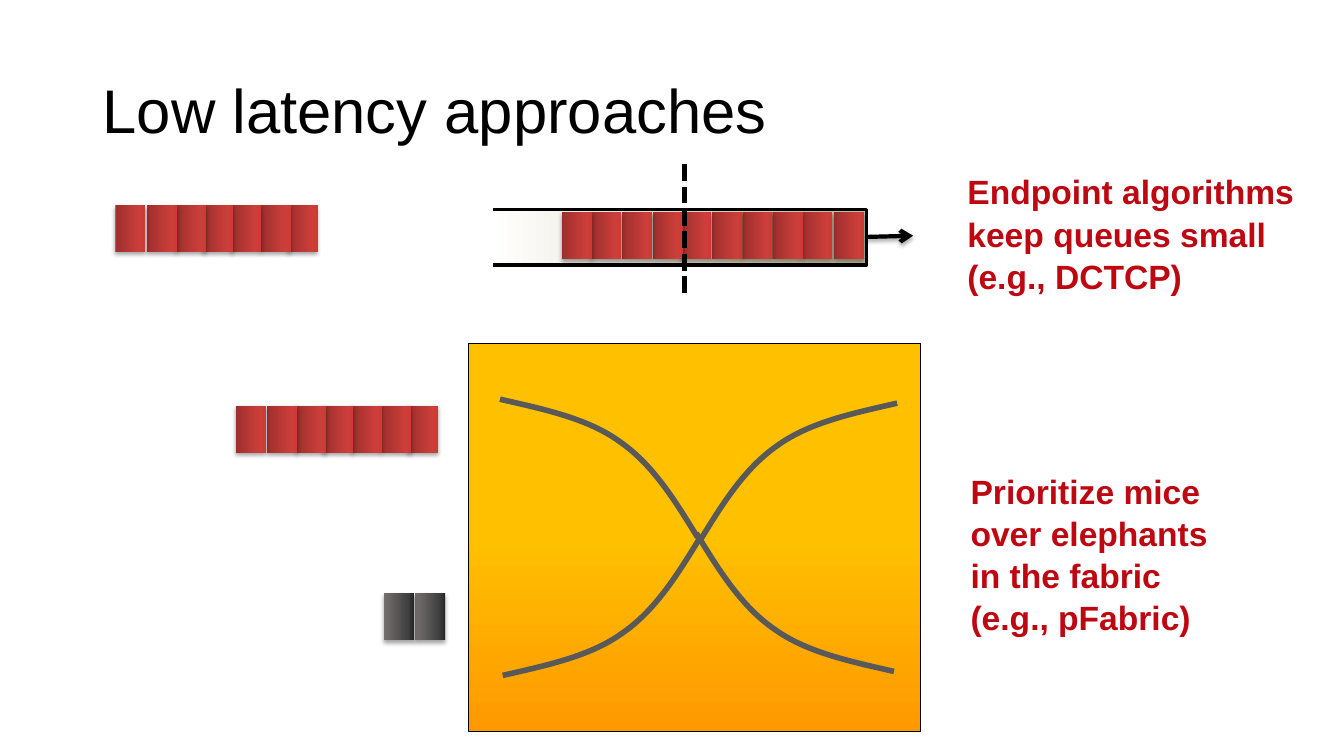
from lxml import etree
from pptx import Presentation
from pptx import util as u
from pptx.dml.color import RGBColor
from pptx.enum import dml, shapes, text
from pptx.oxml.ns import qn

COLORS = {"ink": "000000", "claim": "BD0811", "curve": "595959"}
RED = [(0, "9C2F2D"), (80, "CB3E3A"), (100, "CE3B37")]
GRAY = [(0, "767171"), (80, "404040"), (100, "262626")]
SAND = [(0, "FFFFFF"), (100, "C4BD97")]
AMBER = [(0, "FFC000"), (50, "FFC000"), (100, "FF9900")]

TITLE = "Low latency approaches"
TITLE_BOX = (2.33, 1.01, 29.21, 3.69)
CLAIMS = [
    ((24.13, 4.14, 8.81, 3.33), False,
     ["Endpoint algorithms", "keep queues small", "(e.g., DCTCP)"]),
    ((24.21, 11.68, 8.74, 4.37), True,
     ["Prioritize mice", "over elephants", "in the fabric", "(e.g., pFabric)"]),
]

PACKET = (1.19, 0.76)
ELEPHANT_STEPS = (0, 0.79, 1.52, 2.21, 2.92, 3.66, 4.34)
QUEUE_STEPS = (0, 0.74, 1.52, 2.29, 3, 3.78, 4.55, 5.31, 6.05, 6.86)
MICE_STEPS = (0, 0.79)

QUEUE_OUTLINE = [(12.42, 5.28), (21.84, 5.28), (21.84, 6.68), (12.42, 6.68)]
DEPARTURE = (21.84, 5.97, 23.01, 5.94)
THRESHOLD = (17.25, 4.14, 17.25, 7.39)

FABRIC_BOX = (11.81, 8.66, 11.38, 9.78)
CURVE = [(0, 0), (1.09, 0.25), (2.21, 0.48), (3.02, 1.07),
         (3.86, 1.65), (4.42, 2.57), (4.98, 3.48)]
CURVE_STARTS = [(12.6, 10.06, 1, 1), (22.53, 16.92, -1, -1),
                (22.61, 10.16, -1, 1), (12.67, 17.02, 1, -1)]


def lengths(values):
    return [u.Cm(value) for value in values]


def child(parent, tag, **attributes):
    return etree.SubElement(parent, qn(tag), attributes)


def gradient(shape, stops, angle):
    shape.fill.gradient()
    shape.fill.gradient_angle = angle
    stop_list = shape._element.spPr.find(qn("a:gradFill")).find(qn("a:gsLst"))
    for old in list(stop_list):
        stop_list.remove(old)
    for position, color in stops:
        stop = child(stop_list, "a:gs", pos=str(position * 1000))
        child(stop, "a:srgbClr", val=color)


def stroke(shape, color, width):
    shape.line.color.rgb = RGBColor.from_string(COLORS[color])
    shape.line.width = u.Pt(width)


def cast_shadow(effects):
    shadow = child(effects, "a:outerShdw", blurRad="39370", dist="22860",
                   dir="5400000", rotWithShape="0")
    child(child(shadow, "a:srgbClr", val=COLORS["ink"]), "a:alpha", val="35000")


def add_packets(tree, left, top, steps, stops):
    for step in reversed(steps):
        packet = tree.add_shape(shapes.MSO_SHAPE.RECTANGLE,
                                *lengths((left + step, top, *PACKET)))
        packet.rotation = 90
        gradient(packet, stops, 90)
        packet.line.fill.background()
        packet.shadow.inherit = False
        cast_shadow(packet._element.spPr.find(qn("a:effectLst")))


def add_outline(tree, points):
    points = [lengths(point) for point in points]
    builder = tree.build_freeform(*points[0])
    builder.add_line_segments(points[1:], close=False)
    outline = builder.convert_to_shape()
    outline.shadow.inherit = False
    return outline


def bend(outline):
    segments = list(outline._element.iter(qn("a:lnTo")))
    route = segments[0].getparent()
    for first in range(0, len(segments), 3):
        bezier = child(route, "a:cubicBezTo")
        for segment in segments[first:first + 3]:
            bezier.append(segment[0])
            route.remove(segment)


def add_line(tree, ends, width):
    line = tree.add_connector(shapes.MSO_CONNECTOR.STRAIGHT, *lengths(ends))
    stroke(line, "ink", width)
    return line, child(line._element.spPr, "a:effectLst")


def add_run(paragraph, words, size, color, bold=False):
    run = paragraph.add_run()
    run.text = words
    run.font.name = "Arial"
    run.font.size = u.Pt(size)
    run.font.bold = bold
    run.font.color.rgb = RGBColor.from_string(COLORS[color])


deck = Presentation()
deck.slide_width, deck.slide_height = lengths((33.87, 19.05))
slide = deck.slides.add_slide(deck.slide_layouts[5])
canvas = slide.shapes

title = canvas.title
title.left, title.top, title.width, title.height = lengths(TITLE_BOX)
title.text_frame.vertical_anchor = text.MSO_ANCHOR.MIDDLE
heading = title.text_frame.paragraphs[0]
heading.alignment = text.PP_ALIGN.LEFT
heading.line_spacing = 0.9
add_run(heading, TITLE, 44, "ink")

add_packets(canvas, 2.69, 5.38, ELEPHANT_STEPS, RED)

queue = add_outline(canvas, QUEUE_OUTLINE)
gradient(queue, SAND, 0)
stroke(queue, "ink", 2.25)
add_packets(canvas, 13.94, 5.56, QUEUE_STEPS, RED)

departure, departure_effects = add_line(canvas, DEPARTURE, 3)
child(departure.line._get_or_add_ln(), "a:tailEnd", type="arrow")
cast_shadow(departure_effects)
threshold, _ = add_line(canvas, THRESHOLD, 4)
threshold.line.dash_style = dml.MSO_LINE.SQUARE_DOT

fabric = canvas.add_group_shape().shapes
panel = fabric.add_shape(shapes.MSO_SHAPE.RECTANGLE, *lengths(FABRIC_BOX))
panel.shadow.inherit = False
gradient(panel, AMBER, 270)
stroke(panel, "ink", 0.5)
for x, y, across, down in CURVE_STARTS:
    curve = add_outline(fabric, [(x + across * dx, y + down * dy) for dx, dy in CURVE])
    bend(curve)
    curve.fill.background()
    stroke(curve, "curve", 4)

add_packets(canvas.add_group_shape().shapes, 5.72, 10.44, ELEPHANT_STEPS, RED)
add_packets(canvas.add_group_shape().shapes, 9.45, 15.16, MICE_STEPS, GRAY)

for box, wraps, lines in CLAIMS:
    claim = canvas.add_textbox(*lengths(box)).text_frame
    claim.word_wrap = wraps
    claim.auto_size = text.MSO_AUTO_SIZE.SHAPE_TO_FIT_TEXT
    for number, words in enumerate(lines):
        paragraph = claim.add_paragraph() if number else claim.paragraphs[0]
        paragraph.line_spacing = 1.05
        add_run(paragraph, words, 24, "claim", bold=True)

deck.save("out.pptx")
